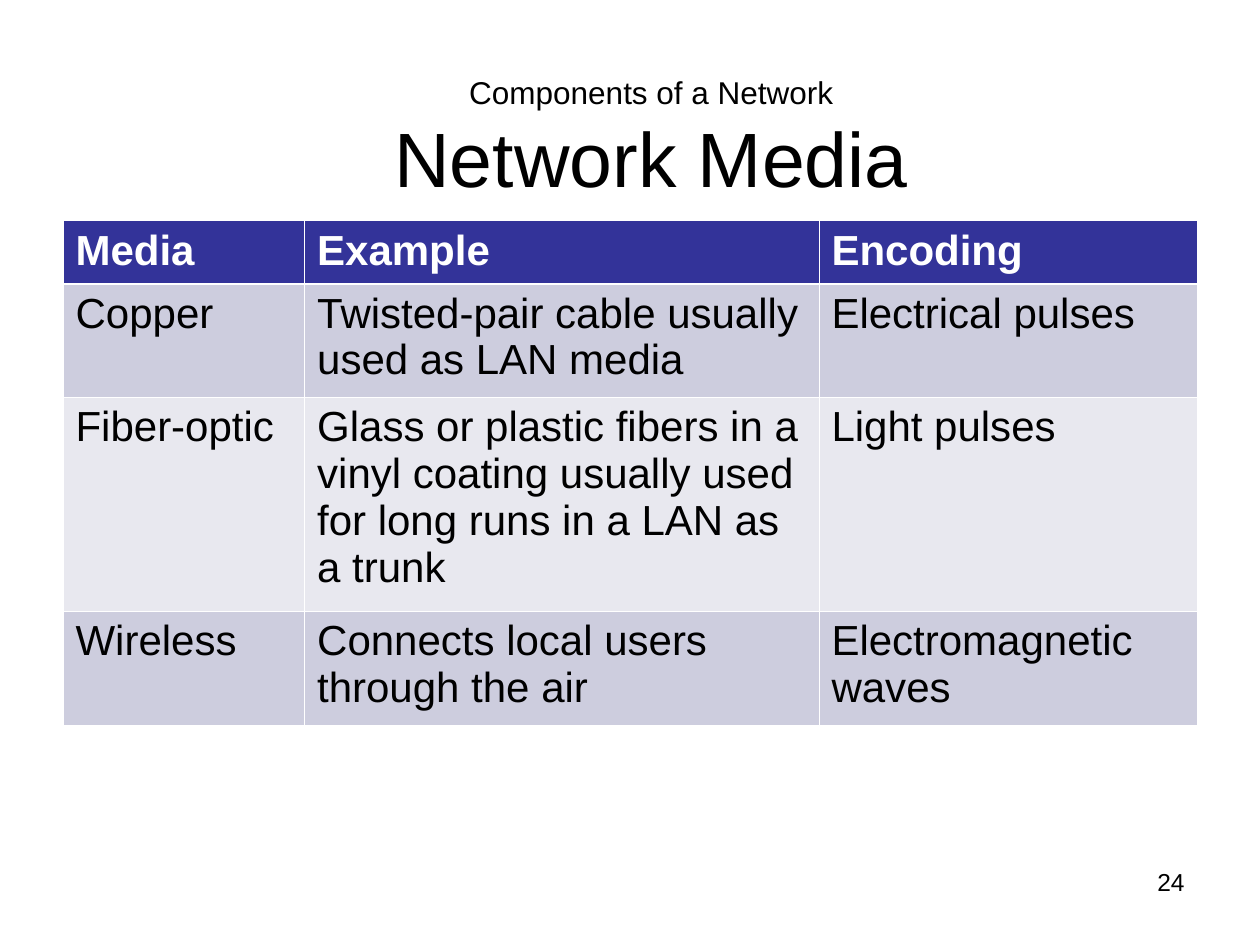
import dataclasses

import lxml.etree
import pptx
import pptx.dml.color
import pptx.enum.text
import pptx.oxml.ns
import pptx.util

Cm = pptx.util.Cm
Pt = pptx.util.Pt
Align = pptx.enum.text.PP_ALIGN
Anchor = pptx.enum.text.MSO_ANCHOR
qn = pptx.oxml.ns.qn


@dataclasses.dataclass(frozen=True)
class Theme:
    font: str = "Arial"
    ink: str = "000000"
    paper: str = "FFFFFF"
    header: str = "333399"
    bands: tuple = ("CDCDDE", "E8E8EF")
    topic_size: int = 18
    title_size: int = 44
    table_size: int = 24
    number_size: int = 14
    thin_rule: float = 0.45
    header_rule: float = 1.47


THEME = Theme()
COLUMN_WIDTHS = (4.87, 10.37, 7.62)
ROW_HEIGHTS = (1.27, 2.29, 4.32, 2.29)
MEDIA_ROWS = (
    ("Media", "Example", "Encoding"),
    ("Copper", "Twisted-pair cable usually used as LAN media", "Electrical pulses"),
    (
        "Fiber-optic",
        "Glass or plastic fibers in a vinyl coating usually used for long runs in a LAN as a trunk",
        "Light pulses",
    ),
    ("Wireless", "Connects local users through the air", "Electromagnetic waves"),
)


def rgb(code):
    return pptx.dml.color.RGBColor.from_string(code)


def add_run(paragraph, words, size, color=THEME.ink, bold=False):
    run = paragraph.add_run()
    run.text = words
    run.font.name = THEME.font
    run.font.size = Pt(size)
    run.font.bold = bold
    run.font.color.rgb = rgb(color)


def add_label(slide, left, top, width, height, align, anchor):
    frame = slide.shapes.add_textbox(Cm(left), Cm(top), Cm(width), Cm(height)).text_frame
    frame.word_wrap = True
    frame.vertical_anchor = anchor
    paragraph = frame.paragraphs[0]
    paragraph.alignment = align
    return paragraph


def set_borders(cell, top, bottom):
    properties = cell._tc.get_or_add_tcPr()
    sides = (("lnL", THEME.thin_rule), ("lnR", THEME.thin_rule), ("lnT", top), ("lnB", bottom))
    for position, (side, weight) in enumerate(sides):
        rule = lxml.etree.Element(qn(f"a:{side}"), w=str(int(Pt(weight))))
        fill = lxml.etree.SubElement(rule, qn("a:solidFill"))
        lxml.etree.SubElement(fill, qn("a:srgbClr"), val=THEME.paper)
        properties.insert(position, rule)


def fill_cell(cell, words, row):
    is_header = row == 0
    cell.fill.solid()
    cell.fill.fore_color.rgb = rgb(THEME.header if is_header else THEME.bands[(row - 1) % 2])
    set_borders(
        cell,
        top=THEME.header_rule if row == 1 else THEME.thin_rule,
        bottom=THEME.header_rule if is_header else THEME.thin_rule,
    )
    color = THEME.paper if is_header else THEME.ink
    add_run(cell.text_frame.paragraphs[0], words, THEME.table_size, color, is_header)


def add_media_table(slide, left, top):
    table = slide.shapes.add_table(
        len(ROW_HEIGHTS), len(COLUMN_WIDTHS), Cm(left), Cm(top),
        Cm(sum(COLUMN_WIDTHS)), Cm(sum(ROW_HEIGHTS)),
    ).table
    for column, width in zip(table.columns, COLUMN_WIDTHS):
        column.width = Cm(width)
    for row, height in enumerate(ROW_HEIGHTS):
        table.rows[row].height = Cm(height)
        for column, words in enumerate(MEDIA_ROWS[row]):
            fill_cell(table.cell(row, column), words, row)


def main():
    deck = pptx.Presentation()
    deck.slide_width, deck.slide_height = Cm(25.4), Cm(19.05)
    slide = deck.slides.add_slide(deck.slide_layouts[6])

    add_media_table(slide, 1.27, 4.45)

    page_number = add_label(slide, 18.21, 17.35, 5.92, 1.32, Align.RIGHT, Anchor.TOP)
    add_run(page_number, "24", THEME.number_size)

    heading = add_label(slide, 1.7, 1.19, 22.86, 3.18, Align.CENTER, Anchor.MIDDLE)
    add_run(heading, "Components of a Network", THEME.topic_size)
    heading.add_line_break()
    add_run(heading, "Network Media", THEME.title_size)

    deck.save("out.pptx")


if __name__ == "__main__":
    main()
